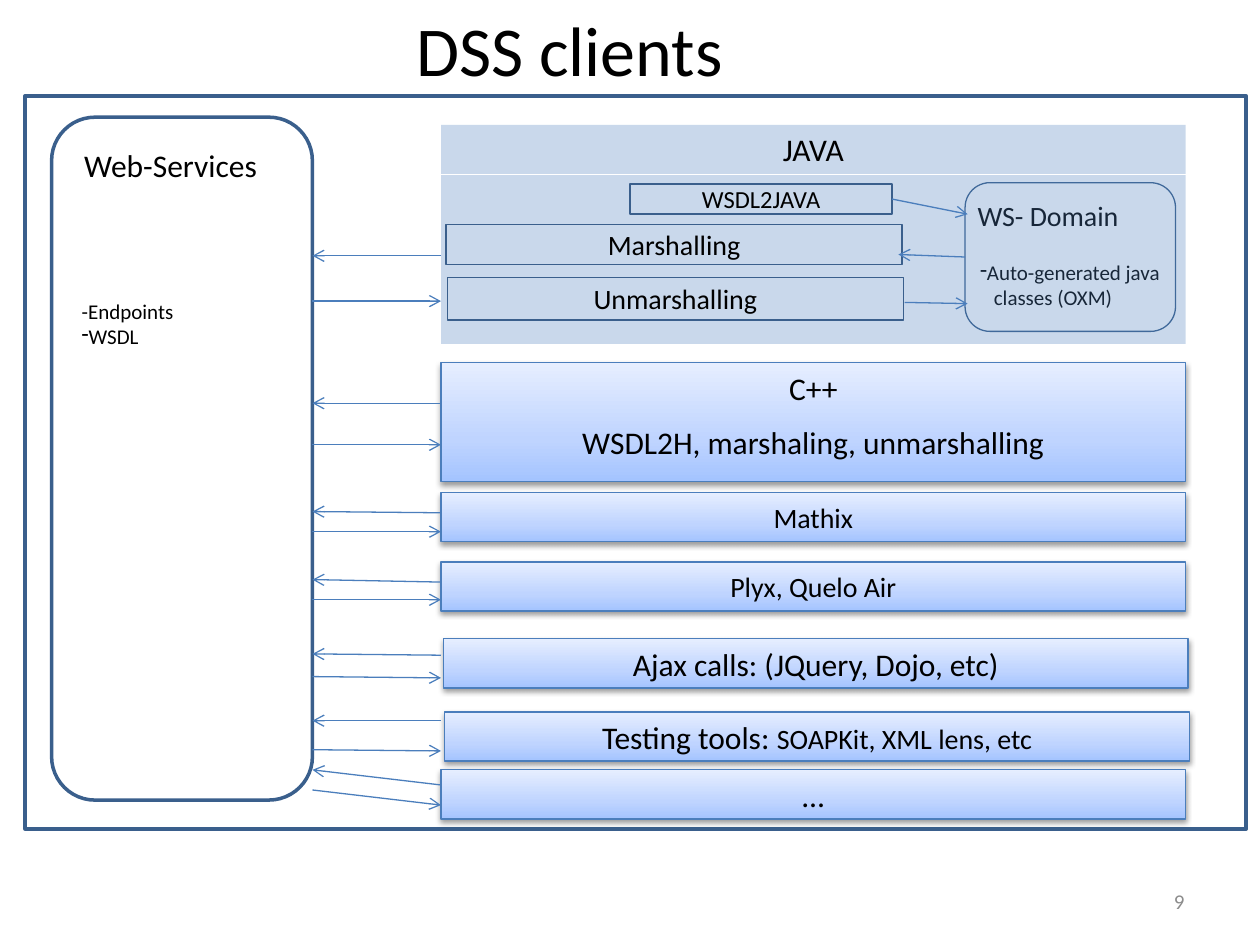
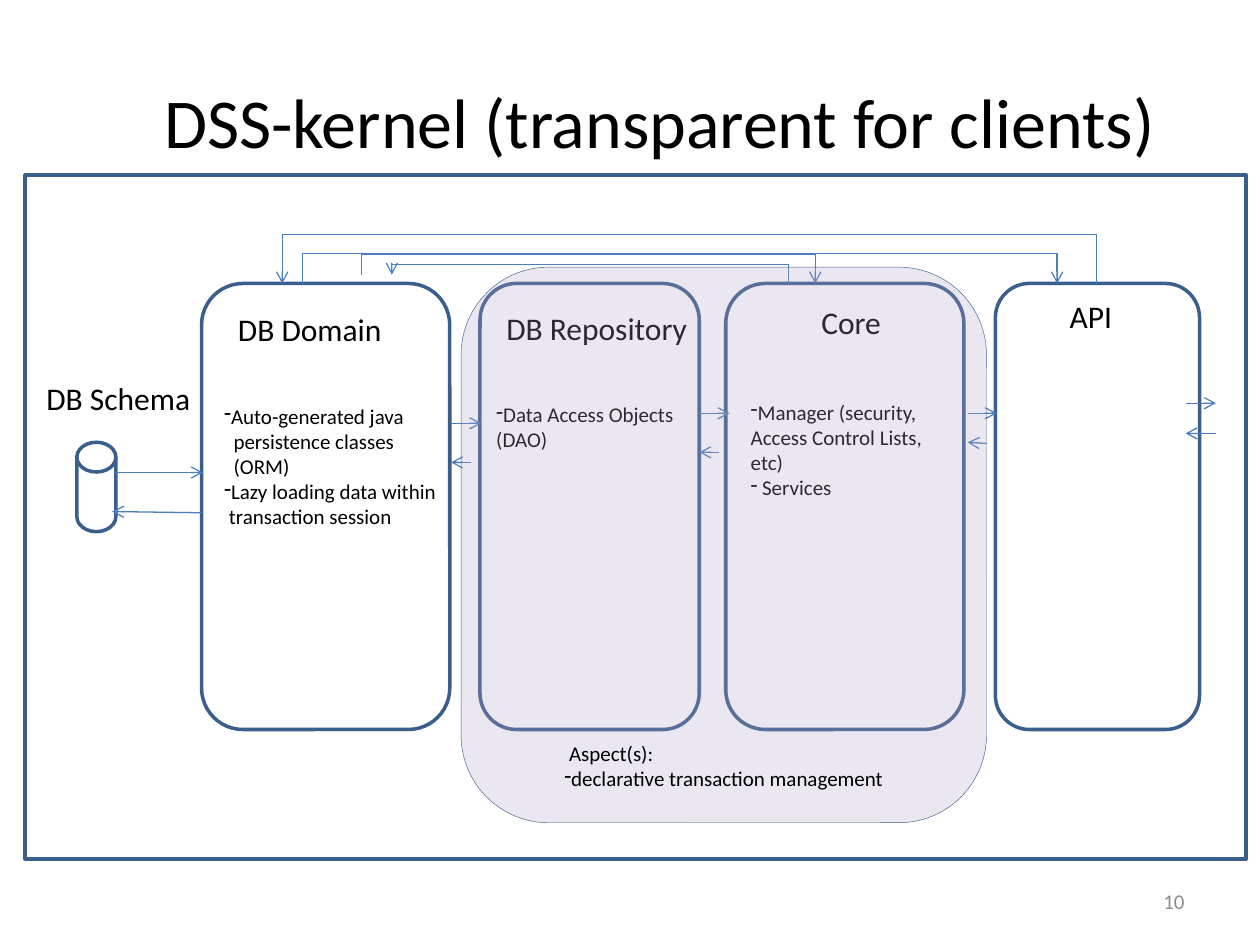
from dataclasses import dataclass
from itertools import pairwise
from lxml.etree import SubElement
from pptx import Presentation
from pptx.dml.color import RGBColor
from pptx.enum.dml import MSO_THEME_COLOR
from pptx.enum.shapes import MSO_CONNECTOR, MSO_SHAPE
from pptx.enum.text import MSO_ANCHOR, PP_ALIGN
from pptx.oxml.ns import qn
from pptx.util import Emu, Inches, Pt

# Shared look; the grid has 100 columns and 75 rows of square cells
COLS, ROWS = 100, 75
CELL = Inches(10) // COLS
FONT = "Calibri"
HEX = {"ink": "000000", "edge": "3A5F8C", "wire": "4B7EBC", "blue": "4F81BD",
       "lilac": "B3A2C7", "white": "FFFFFF", "gray": "8C8C8C", "dark": "A4C4FF",
       "mid": "BFD4FF", "pale": "E6EEFF"}
GLOW = [(0, "dark"), (35, "mid"), (100, "pale")]


@dataclass
class Box:
    left: float
    top: float
    width: float
    height: float

    def place(self) -> list[Emu]:
        return [cells(n) for n in (self.left, self.top, self.width, self.height)]


@dataclass
class Line:
    """One paragraph: runs of (text, size), indent in cells, dash bullet."""
    runs: list[tuple[str, float]]
    pad: float = 0
    dash: bool = False
    hang: float = 0
    gap: float = 0


@dataclass
class Client:
    """A client bar with the row ends of its arrows to and from the services."""
    runs: list[tuple[str, float]]
    left: float
    top: float
    back: tuple[float, float]
    out: tuple[float, float]


def cells(count: float) -> Emu:
    return Emu(round(count * CELL))


def tint(name: str) -> RGBColor:
    return RGBColor.from_string(HEX[name])


def write(frame, lines: list[Line], align=PP_ALIGN.LEFT, anchor=MSO_ANCHOR.TOP,
          wrap=True, color="ink") -> None:
    frame.word_wrap = wrap
    frame.vertical_anchor = anchor
    for i, line in enumerate(lines):
        para = frame.paragraphs[0] if i == 0 else frame.add_paragraph()
        para.alignment = align
        para.space_before = Pt(line.gap)
        props = para._p.get_or_add_pPr()
        props.set("marL", str(cells(line.pad)))
        props.set("indent", str(cells(-line.hang)))
        if line.dash:
            SubElement(props, qn("a:buChar")).set("char", "-")
        else:
            SubElement(props, qn("a:buNone"))
        for text, size in line.runs:
            run = para.add_run()
            run.text = text
            run.font.name, run.font.size = FONT, Pt(size)
            run.font.color.rgb = tint(color)


def note(slide, box: Box, lines: list[Line], **style) -> None:
    write(slide.shapes.add_textbox(*box.place()).text_frame, lines, **style)


def label(slide, box: Box, text: str, size: float = 18, pad: float = 0, **style) -> None:
    note(slide, box, [Line([(text, size)], pad)], **style)


def shape(slide, kind, box: Box, edge="edge", weight=2.0, fill=None, alpha=100):
    item = slide.shapes.add_shape(kind, *box.place())
    item.shadow.inherit = False
    if fill:
        item.fill.solid()
        item.fill.fore_color.rgb = tint(fill)
        if alpha < 100:
            color = item._element.spPr.find(".//" + qn("a:srgbClr"))
            SubElement(color, qn("a:alpha")).set("val", str(alpha * 1000))
    else:
        item.fill.background()
    if edge:
        item.line.color.rgb = tint(edge)
        item.line.width = Pt(weight)
    else:
        item.line.fill.background()
    return item


def plate(slide, box: Box, lines: list[Line], anchor=MSO_ANCHOR.MIDDLE, **style):
    item = shape(slide, MSO_SHAPE.RECTANGLE, box, **style)
    write(item.text_frame, lines, PP_ALIGN.CENTER, anchor)
    return item


def bar(slide, box: Box, lines: list[Line], anchor=MSO_ANCHOR.MIDDLE) -> None:
    """A plate with a blue gradient and a soft shadow below."""
    item = plate(slide, box, lines, anchor, edge="wire", weight=0.75)
    item.fill.gradient()
    item.fill.gradient_angle = 90
    props = item._element.spPr
    stops = props.find(".//" + qn("a:gsLst"))
    stops.clear()
    for pos, name in GLOW:
        stop = SubElement(stops, qn("a:gs"), pos=str(pos * 1000))
        SubElement(stop, qn("a:srgbClr"), val=HEX[name])
    cast = SubElement(props.find(qn("a:effectLst")), qn("a:outerShdw"),
                      blurRad=str(Pt(3.1)), dist=str(Pt(1.6)), dir="5400000",
                      rotWithShape="0")
    color = SubElement(cast, qn("a:srgbClr"), val=HEX["ink"])
    SubElement(color, qn("a:alpha"), val="38000")


def wire(slide, *points: tuple[float, float]) -> None:
    """Straight parts through the points, with an arrowhead on the last."""
    for start, end in pairwise(points):
        item = slide.shapes.add_connector(
            MSO_CONNECTOR.STRAIGHT, *(cells(n) for n in (*start, *end)))
        item.line.color.rgb = tint("wire")
        item.line.width = Pt(0.75)
        if end is points[-1]:
            SubElement(item.line._ln, qn("a:tailEnd"), type="arrow")
        SubElement(item._element.spPr, qn("a:effectLst"))


def begin(deck, title: str, spot: Box, frame: Box, number: int):
    """A slide with its title, outer frame and number."""
    slide = deck.slides.add_slide(deck.slide_layouts[5])
    head = slide.shapes.title
    head.left, head.top, head.width, head.height = spot.place()
    write(head.text_frame, [Line([(title, 40)])], PP_ALIGN.CENTER, wrap=False)
    shape(slide, MSO_SHAPE.RECTANGLE, frame)
    label(slide, Box(71.7, 69.5, 23.3, 4), str(number), 12, align=PP_ALIGN.RIGHT,
          anchor=MSO_ANCHOR.MIDDLE, color="gray")
    return slide


# Slide 1: clients
GATE, EDGE, WIDE, TALL = 24.8, 35, 59.1, 3.9
CLIENTS = [
    Client([("Mathix", 16)], 35, 39.1, (40.7, 40.6), (42.2, 42.2)),
    Client([("Plyx, Quelo Air", 16)], 35, 44.6, (46.2, 46), (47.6, 47.6)),
    Client([("Ajax calls: (JQuery, Dojo, etc)", 18)], 35.2, 50.7, (52, 51.9), (53.7, 53.8)),
    Client([("Testing tools: ", 18), ("SOAPKit, XML lens, etc", 16)], 35.3, 56.5,
           (57.2, 57.2), (59.5, 59.6)),
    Client([("…", 18)], 35, 61.1, (62.3, 61.1), (62.7, 63.9)),
]


def clients(deck) -> None:
    slide = begin(deck, "DSS clients", Box(31.9, 0, 26.6, 7.7),
                  Box(2, 7.6, 96.9, 58.2), 9)

    # Web services
    shape(slide, MSO_SHAPE.ROUNDED_RECTANGLE, Box(4.1, 9.3, 20.7, 54.2))
    label(slide, Box(5.7, 11.1, 18.7, 6.2), "Web-Services")
    note(slide, Box(5.5, 23.2, 16.2, 7.7),
         [Line([("-Endpoints", 12)]), Line([("WSDL", 12)], dash=True)])

    # Java client with its domain
    label(slide, Box(76.6, 15.3, 16.5, 3.7), "WS- Domain", 16)
    note(slide, Box(76.8, 20.1, 16.3, 5),
         [Line([("Auto-generated java", 12)], dash=True),
          Line([("classes (OXM)", 12)], 1.1)], wrap=False)
    shape(slide, MSO_SHAPE.ROUNDED_RECTANGLE, Box(76.6, 14.5, 16.7, 11.8), weight=0.75)
    shape(slide, MSO_SHAPE.RECTANGLE, Box(EDGE, 13.9, WIDE, 13.4),
          edge=None, fill="blue", alpha=30)
    plate(slide, Box(EDGE, 9.9, WIDE, TALL), [Line([("JAVA", 18)])],
          edge=None, fill="blue", alpha=30)
    for text, size, box in [("WSDL2JAVA", 14, Box(50, 14.6, 20.8, 2.4)),
                            ("Marshalling", 16, Box(35.4, 17.8, 36.2, 3.2)),
                            ("Unmarshalling", 16, Box(35.5, 22, 36.2, 3.4))]:
        plate(slide, box, [Line([(text, size)])], weight=0.75)
    wire(slide, (70.8, 15.8), (76.8, 17))
    wire(slide, (76.6, 20.4), (71.3, 20.2))
    wire(slide, (71.8, 24), (76.8, 24.1))

    # C++ client
    bar(slide, Box(EDGE, 28.8, WIDE, 9.4),
        [Line([("C++", 18)]),
         Line([("WSDL2H, marshaling, unmarshalling", 18)], gap=9)], MSO_ANCHOR.TOP)

    # Other clients, then the arrows of all
    for one in CLIENTS:
        bar(slide, Box(one.left, one.top, WIDE, TALL), [Line(one.runs)])
    pairs = [((20.3, 20.3), (23.9, 23.9)), ((32, 32), (35.3, 35.3))]
    for back, out in pairs + [(one.back, one.out) for one in CLIENTS]:
        wire(slide, (EDGE, back[0]), (GATE, back[1]))
        wire(slide, (GATE, out[0]), (EDGE, out[1]))


# Slide 2: kernel
def kernel(deck) -> None:
    slide = begin(deck, "DSS-kernel (transparent for clients)",
                  Box(11.4, 5.7, 81.9, 7.7), Box(2, 13.9, 96.9, 54.3), 10)

    # Database
    shape(slide, MSO_SHAPE.FLOWCHART_MAGNETIC_DISK, Box(6.1, 35.1, 3.1, 7.1), fill="white")
    label(slide, Box(2.7, 29.6, 13.6, 4), "DB Schema", wrap=False)

    # Layers and their names
    for left, width in [(16, 19.7), (38.1, 17.4), (57.6, 18.9), (79, 16.2)]:
        shape(slide, MSO_SHAPE.ROUNDED_RECTANGLE, Box(left, 22.5, width, 35.4))
    for text, left, top, pad in [("DB Domain", 17.9, 24.1, 0),
                                 ("DB Repository", 39.2, 24, 0),
                                 ("Core", 59.7, 23.6, 4.5), ("API", 79.4, 23.1, 4.5)]:
        label(slide, Box(left, top, 16.5, 4), text, pad=pad)

    # Layer details
    note(slide, Box(16.8, 31.5, 18.9, 11.1),
         [Line([("Auto-generated java", 12)], dash=True),
          Line([("persistence classes", 12)], 0.75),
          Line([("(ORM)", 12)], 0.75),
          Line([("Lazy loading data within", 12)], dash=True),
          Line([("transaction session", 12)], 0.38)], wrap=False)
    note(slide, Box(38.4, 31.4, 16.6, 5),
         [Line([("Data Access Objects", 12)], dash=True), Line([("(DAO)", 12)])])
    note(slide, Box(58.6, 31.2, 16.5, 9.1),
         [Line([("Manager (security, Access Control Lists, etc)", 12)], dash=True),
          Line([("Services", 12)], 0.9, dash=True, hang=0.9)])

    # Calls between neighbours
    for start, end in [((35.8, 33.6), (38.2, 33.6)), ((37.4, 36.7), (35.8, 36.7)),
                       ((9.1, 37.5), (16.1, 37.5)), ((16, 40.7), (8.9, 40.6)),
                       ((55.5, 32.8), (57.9, 32.8)), ((57.1, 35.9), (55.5, 35.9)),
                       ((76.8, 32.8), (79.1, 32.8)), ((78.3, 35.2), (76.8, 35.1)),
                       ((94.1, 32), (96.5, 32)), ((96.5, 34.4), (94.1, 34.4))]:
        wire(slide, start, end)

    # Calls that run over the layers: start, rail row, end
    for (left, foot), rail, (right, tip) in [
            ((28.7, 21.8), 20.2, (64.7, 22.5)), ((62.6, 22.5), 21, (31.1, 21.8)),
            ((24, 22.5), 20.1, (83.9, 22.5)), ((87, 22.5), 18.6, (22.4, 22.5))]:
        wire(slide, (left, foot), (left, rail), (right, rail), (right, tip))

    # Aspect veil
    shape(slide, MSO_SHAPE.ROUNDED_RECTANGLE, Box(36.6, 21.2, 41.7, 44.1),
          weight=0.25, fill="lilac", alpha=25)
    note(slide, Box(43.8, 58.3, 27.9, 5),
         [Line([("Aspect(s):", 12)], 0.38),
          Line([("declarative transaction management", 12)], dash=True)])


deck = Presentation()
deck.slide_width, deck.slide_height = cells(COLS), cells(ROWS)
clients(deck)
kernel(deck)
deck.save("out.pptx")
